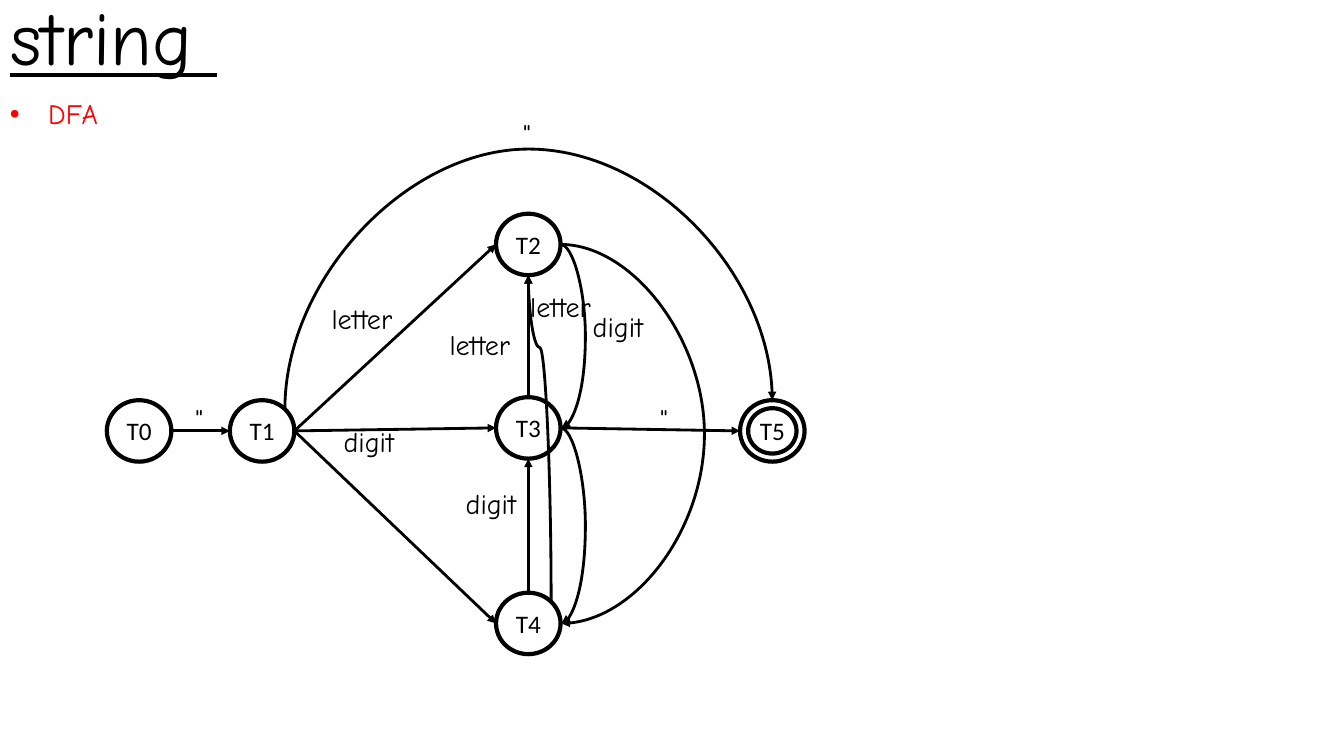
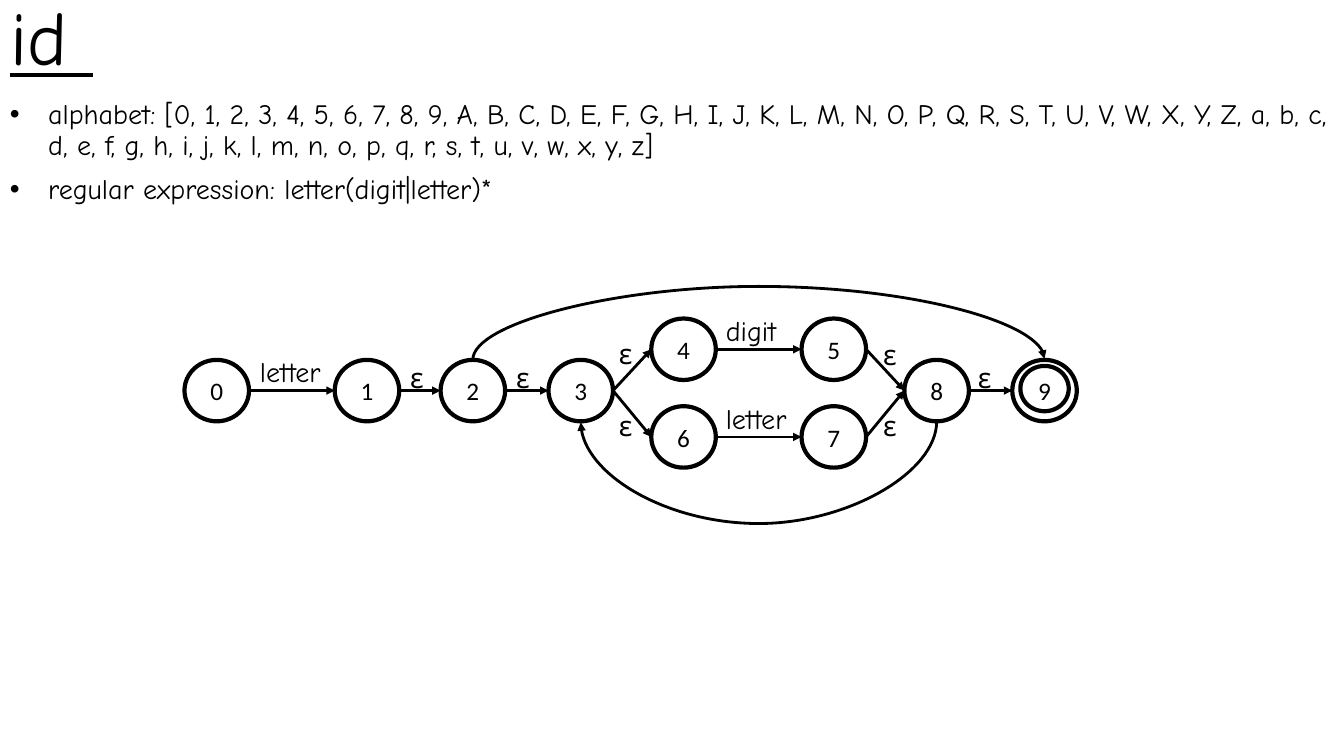
from dataclasses import dataclass
from math import cos, radians, sin

from lxml.etree import SubElement
from pptx import Presentation
from pptx.dml.color import RGBColor
from pptx.enum.shapes import MSO_CONNECTOR, MSO_SHAPE
from pptx.enum.text import MSO_ANCHOR, MSO_AUTO_SIZE, PP_ALIGN
from pptx.oxml.ns import qn
from pptx.util import Pt


@dataclass(frozen=True)
class Theme:
    ink: RGBColor = RGBColor(0, 0, 0)
    accent: RGBColor = RGBColor(255, 0, 0)
    hand: str = "Comic Neue"
    plain: str = "Calibri"
    title: int = 54
    body: int = 20
    state: int = 18
    ring: int = 3
    arrow: int = 2


THEME = Theme()
PX = 9144  # one hundredth of an inch
STATE_W, STATE_H = 64, 61
RING_W, RING_H = 48, 45

# Connection sites of an ellipse, counter-clockwise from the top
TOP, LEFT, BOTTOM, RIGHT, TOP_RIGHT = 0, 2, 4, 6, 7

# States: name -> (left, top). Links: (from, site, to, site, bend), where bend
# is the far x or y that a curve reaches, or None for a straight arrow.
SLIDES = [
    dict(
        title="string ",
        bullets=["DFA"], bullet_colour=THEME.accent, bullets_h=53,
        states={"T0": (106, 397), "T1": (228, 397), "T2": (492, 212),
                "T3": (492, 394), "T4": (492, 588), "T5": (734, 397)},
        ring=(742, 405),
        links=[("T0", RIGHT, "T1", LEFT, None),
               ("T1", RIGHT, "T2", LEFT, None),
               ("T1", RIGHT, "T3", LEFT, None),
               ("T1", RIGHT, "T4", LEFT, None),
               ("T3", RIGHT, "T5", LEFT, None),
               ("T3", TOP, "T2", BOTTOM, None),
               ("T4", TOP, "T3", BOTTOM, None),
               ("T1", TOP_RIGHT, "T5", TOP, 148),
               ("T2", RIGHT, "T3", RIGHT, 581),
               ("T2", RIGHT, "T4", RIGHT, 701),
               ("T3", RIGHT, "T4", RIGHT, 581),
               ("T4", TOP_RIGHT, "T2", BOTTOM, 345)],
        labels=[('"', 184, 397), ('"', 509, 114), ('"', 645, 397),
                ("letter", 319, 298), ("digit", 331, 420),
                ("digit", 452, 481), ("letter", 436, 324),
                ("digit", 578, 306), ("letter", 516, 286)],
    ),
    dict(
        title="id ",
        bullets=["alphabet: [0, 1, 2, 3, 4, 5, 6, 7, 8, 9, A, B, C, D, E, F, G, "
                 "H, I, J, K, L, M, N, O, P, Q, R, S, T, U, V, W, X, Y, Z, a, b, "
                 "c, d, e, f, g, h, i, j, k, l, m, n, o, p, q, r, s, t, u, v, w, "
                 "x, y, z]",
                 "regular expression: letter(digit|letter)*"],
        bullet_colour=THEME.ink, bullets_h=126,
        states={"0": (183, 357), "1": (332, 357), "2": (437, 357),
                "3": (544, 357), "4": (646, 316), "5": (795, 316),
                "6": (646, 403), "7": (795, 403), "8": (897, 357),
                "9": (1004, 357)},
        ring=(1012, 363),
        links=[(a, RIGHT, b, LEFT, None) for a, b in
               ("01", "12", "23", "34", "36", "45", "67", "58", "78", "89")]
              + [("2", TOP, "9", TOP, 283), ("8", BOTTOM, "3", BOTTOM, 521)],
        labels=[("letter", 248, 351), ("digit", 710, 310), ("letter", 710, 397),
                ("ε", 397, 356), ("ε", 502, 356), ("ε", 960, 356),
                ("ε", 604, 333), ("ε", 604, 404),
                ("ε", 866, 334), ("ε", 866, 404)],
    ),
]


def style_text(sp, size, colour=THEME.ink, font=THEME.hand, align=PP_ALIGN.LEFT,
               spacing=0.9, before=10):
    tf = sp.text_frame
    tf.word_wrap = True
    tf.auto_size = MSO_AUTO_SIZE.NONE
    for p in tf.paragraphs:
        p.alignment, p.line_spacing, p.space_before = align, spacing, Pt(before)
        for r in p.runs:
            r.font.name, r.font.size = font, Pt(size)
            r.font.color.rgb = colour


def add_link(s, start, start_site, end, end_site, bend):
    points = []
    for sp, site in ((start, start_site), (end, end_site)):
        angle = radians(90 + 45 * site)
        points.append((round(sp.left + sp.width / 2 * (1 + cos(angle))),
                       round(sp.top + sp.height / 2 * (1 - sin(angle)))))
    (x0, y0), (x1, y1) = points
    sideways = start_site in (LEFT, RIGHT)

    # A curve needs some length along its direction of exit
    if bend is not None:
        bend *= PX
        if sideways and abs(x1 - x0) < PX:
            x1 = x0 + (PX if bend > x0 else -PX)
        elif not sideways and abs(y1 - y0) < PX:
            y1 = y0 + (PX if bend > y0 else -PX)
    kind = MSO_CONNECTOR.STRAIGHT if bend is None else MSO_CONNECTOR.CURVE
    cxn = s.shapes.add_connector(kind, x0, y0, x1, y1)
    cxn.line.color.rgb, cxn.line.width = THEME.ink, Pt(THEME.arrow)
    sp_pr = cxn._element.spPr
    SubElement(sp_pr.find(qn("a:ln")), qn("a:tailEnd"), type="triangle")
    SubElement(sp_pr, qn("a:effectLst"))
    joints = cxn._element.find(qn("p:nvCxnSpPr")).find(qn("p:cNvCxnSpPr"))
    for tag, sp, site in (("a:stCxn", start, start_site), ("a:endCxn", end, end_site)):
        SubElement(joints, qn(tag), id=str(sp.shape_id), idx=str(site))
    if bend is None:
        return

    # Bend, and a quarter turn for curves that leave upwards or downwards
    reach = (bend - x0) / (x1 - x0) if sideways else (bend - y0) / (y1 - y0)
    guides = sp_pr.find(qn("a:prstGeom")).find(qn("a:avLst"))
    SubElement(guides, qn("a:gd"), name="adj1", fmla=f"val {round(reach * 100000)}")
    if not sideways:
        w, h = abs(y1 - y0), abs(x1 - x0)
        cxn.left, cxn.top = (x0 + x1 - w) // 2, (y0 + y1 - h) // 2
        cxn.width, cxn.height = w, h
        up, right = y1 < y0, x1 > x0
        clockwise = up == right
        xfrm = sp_pr.find(qn("a:xfrm"))
        xfrm.set("rot", "5400000" if clockwise else "16200000")
        xfrm.set("flipH", str(int(up == clockwise)))
        xfrm.set("flipV", str(int(right == clockwise)))


prs = Presentation()
prs.slide_width, prs.slide_height = 1333 * PX, 750 * PX

for page in SLIDES:
    s = prs.slides.add_slide(prs.slide_layouts[5])

    # Title
    title = s.shapes.title
    title.left, title.top, title.width, title.height = 0, 0, 1000 * PX, 86 * PX
    title.text_frame.text = page["title"]
    title.text_frame.vertical_anchor = MSO_ANCHOR.BOTTOM
    style_text(title, THEME.title, before=0)
    title.text_frame.paragraphs[0].runs[0].font.underline = True

    # Bullets
    body = s.shapes.add_textbox(0, 95 * PX, 1333 * PX, page["bullets_h"] * PX)
    body.text_frame.text = "\n".join(page["bullets"])
    style_text(body, THEME.body, page["bullet_colour"])
    for p in body.text_frame.paragraphs:
        p_pr = p._p.get_or_add_pPr()
        p_pr.set("marL", str(38 * PX))
        p_pr.set("indent", str(-38 * PX))
        SubElement(p_pr, qn("a:buFont"), typeface="Arial")
        SubElement(p_pr, qn("a:buChar"), char="•")

    # States, then the inner ring of the accepting one
    states = {}
    circles = [(name, x, y, STATE_W, STATE_H) for name, (x, y) in page["states"].items()]
    for name, x, y, w, h in circles + [("", *page["ring"], RING_W, RING_H)]:
        sp = s.shapes.add_shape(MSO_SHAPE.OVAL, x * PX, y * PX, w * PX, h * PX)
        sp.shadow.inherit = False
        sp.fill.background()
        sp.line.color.rgb, sp.line.width = THEME.ink, Pt(THEME.ring)
        if name:
            sp.text_frame.text = name
            sp.text_frame.vertical_anchor = MSO_ANCHOR.MIDDLE
            style_text(sp, THEME.state, font=THEME.plain, align=PP_ALIGN.CENTER,
                       spacing=1.0, before=0)
            states[name] = sp

    # Transitions
    for start, start_site, end, end_site, bend in page["links"]:
        add_link(s, states[start], start_site, states[end], end_site, bend)

    # Transition labels
    for text, x, y in page["labels"]:
        w = 50 if len(text) == 1 else 92
        label = s.shapes.add_textbox(x * PX, y * PX, w * PX, 61 * PX)
        label.text_frame.text = text
        style_text(label, THEME.body)

prs.save("out.pptx")
